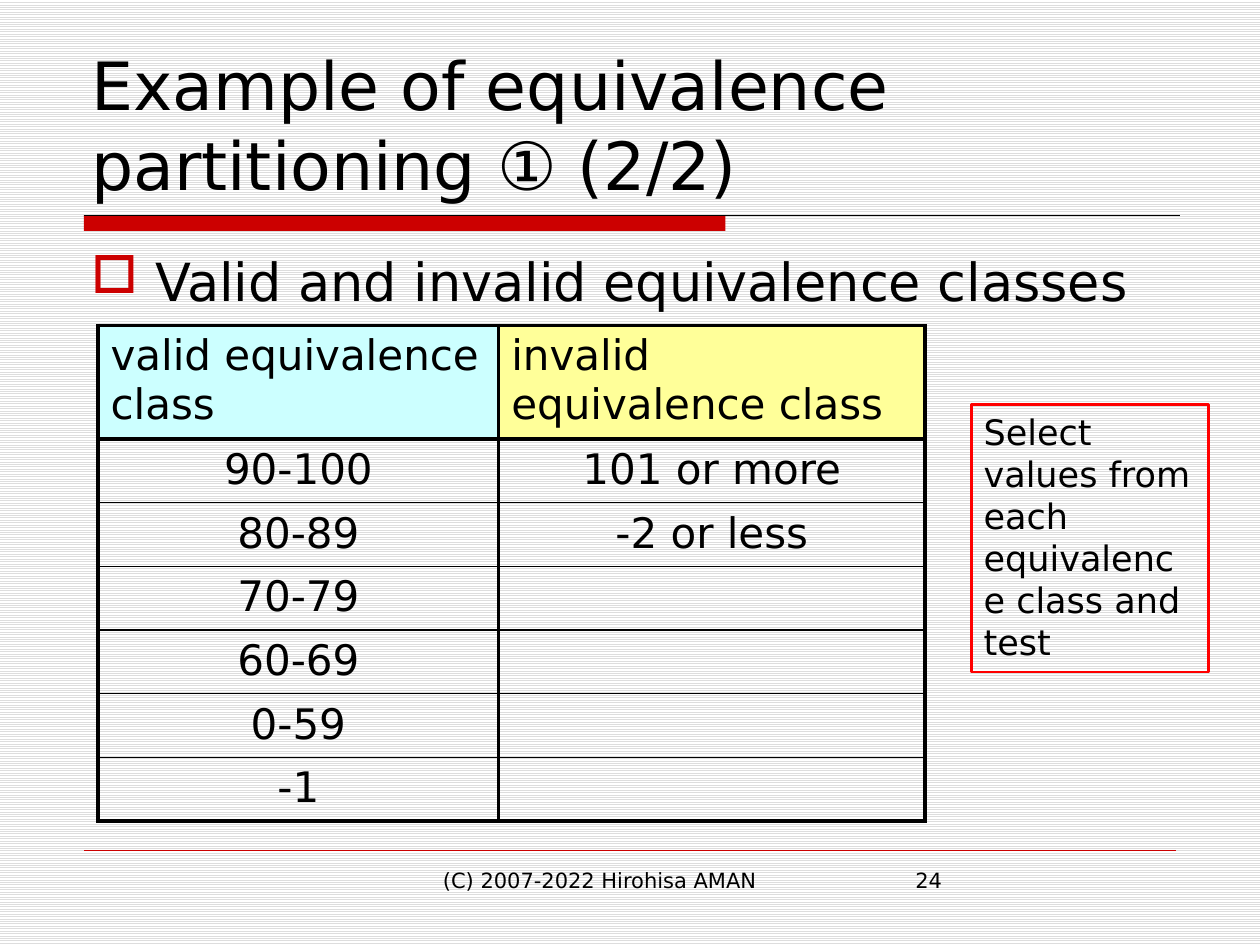
from pptx import Presentation
from pptx.dml.color import RGBColor
from pptx.enum.dml import MSO_PATTERN
from pptx.enum.shapes import MSO_CONNECTOR, MSO_SHAPE
from pptx.enum.text import MSO_ANCHOR as Anchor, PP_ALIGN as Align
from pptx.oxml.ns import qn
from pptx.util import Pt
from lxml.etree import SubElement as Sub

FONT = "DejaVu Sans"
RED, BLACK = "CC0000", "000000"

# Content
TITLE = "Example of equivalence partitioning ① (2/2)"
POINT = "Valid and invalid equivalence classes"
NOTE = "Select values from each equivalence class and test"
# Text, left, width
FOOT = [("(C) 2007-2022 Hirohisa AMAN", 246, 228), ("24", 516, 156)]
HEADS = [("valid equivalence class", "CCFFFF"),
         ("invalid equivalence class", "FFFF99")]
VALID = ["90-100", "80-89", "70-79", "60-69", "0-59", "-1"]
INVALID = ["101 or more", "-2 or less", "", "", "", ""]
COLS = [229, 243.5]
HEAD_H, ROW_H = 63.4, 36.4


def rgb(code):
    return RGBColor.from_string(code)


def write(frame, text, size, align=Align.LEFT):
    frame.word_wrap = True
    frame.text = text
    para = frame.paragraphs[0]
    para.alignment = align
    for run in para.runs:
        run.font.size = Pt(size)
        run.font.name = FONT
        run.font.color.rgb = rgb(BLACK)
    return para


def add_text(text, size, x, y, w, h, anchor=Anchor.TOP):
    box = slide.shapes.add_textbox(Pt(x), Pt(y), Pt(w), Pt(h))
    box.text_frame.vertical_anchor = anchor
    return write(box.text_frame, text, size)


def add_rect(x, y, w, h):
    rect = slide.shapes.add_shape(MSO_SHAPE.RECTANGLE, Pt(x), Pt(y), Pt(w), Pt(h))
    rect.shadow.inherit = False
    return rect


def add_rule(x, y, end, color, width):
    rule = slide.shapes.add_connector(MSO_CONNECTOR.STRAIGHT,
                                      Pt(x), Pt(y), Pt(end), Pt(y))
    rule.line.color.rgb = rgb(color)
    rule.line.width = Pt(width)
    Sub(rule._element.spPr, qn("a:effectLst"))


def set_edges(cell, widths):
    props = cell._tc.get_or_add_tcPr()
    for spot, (side, width) in enumerate(zip("LRTB", widths)):
        edge = props.makeelement(qn("a:ln" + side), {"w": str(Pt(width))})
        fill = Sub(edge, qn("a:solidFill"))
        Sub(fill, qn("a:srgbClr"), val=BLACK)
        props.insert(spot, edge)


deck = Presentation()
deck.slide_width, deck.slide_height = Pt(720), Pt(540)
slide = deck.slides.add_slide(deck.slide_layouts[6])

# Striped background
back = slide.background.fill
back.patterned()
back.pattern = MSO_PATTERN.LIGHT_HORIZONTAL
back.fore_color.rgb = rgb("DDDDDD")
back.back_color.rgb = rgb("FFFFFF")

# Title bar and rules
bar = add_rect(48, 123, 366.5, 9)
bar.fill.solid()
bar.fill.fore_color.rgb = rgb(RED)
bar.line.fill.background()
add_rule(48, 123, 674.5, BLACK, 0.75)
add_rule(48, 486, 672, RED, 0.25)

# Footer, title and bullet
for text, x, w in FOOT:
    add_text(text, 12, x, 492, w, 37.5)
add_text(TITLE, 38, 45, 24, 630, 96, Anchor.BOTTOM)
point = add_text(POINT, 30, 45, 139, 630, 336)
props = point._p.get_or_add_pPr()
props.set("marL", str(Pt(36.75)))
props.set("indent", str(Pt(-36.75)))
Sub(Sub(props, qn("a:buClr")), qn("a:srgbClr"), val=RED)
Sub(props, qn("a:buChar"), char="□")

# Table of classes
rows = list(zip(VALID, INVALID))
last = len(rows)
grid = slide.shapes.add_table(last + 1, len(COLS), Pt(56), Pt(186), Pt(sum(COLS)),
                              Pt(HEAD_H + last * ROW_H)).table
grid.first_row = grid.horz_banding = False
for col, width in zip(grid.columns, COLS):
    col.width = Pt(width)
for r, row in enumerate([[head for head, _ in HEADS]] + rows):
    grid.rows[r].height = Pt(ROW_H if r else HEAD_H)
    top = 2.25 if r < 2 else 1
    base = 2.25 if r in (0, last) else 1
    for c, text in enumerate(row):
        cell = grid.cell(r, c)
        write(cell.text_frame, text, 24, Align.CENTER if r else Align.LEFT)
        if r:
            cell.fill.background()
        else:
            cell.fill.solid()
            cell.fill.fore_color.rgb = rgb(HEADS[c][1])
        set_edges(cell, (2.25, 2.25, top, base))

# Note beside the table
note = add_rect(555, 231, 135.5, 153)
note.fill.background()
note.line.color.rgb = rgb("FF0000")
note.line.width = Pt(1.5)
note.text_frame.vertical_anchor = Anchor.TOP
write(note.text_frame, NOTE, 20)

deck.save("out.pptx")
